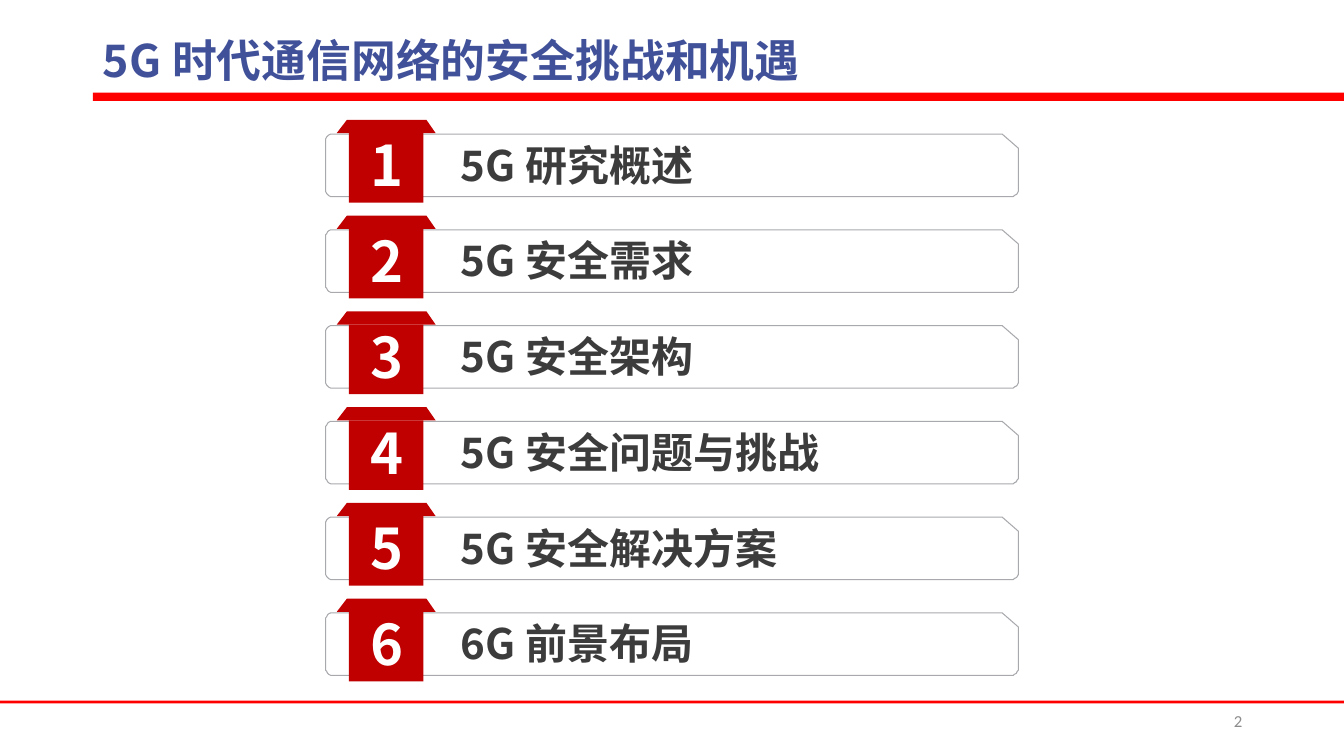
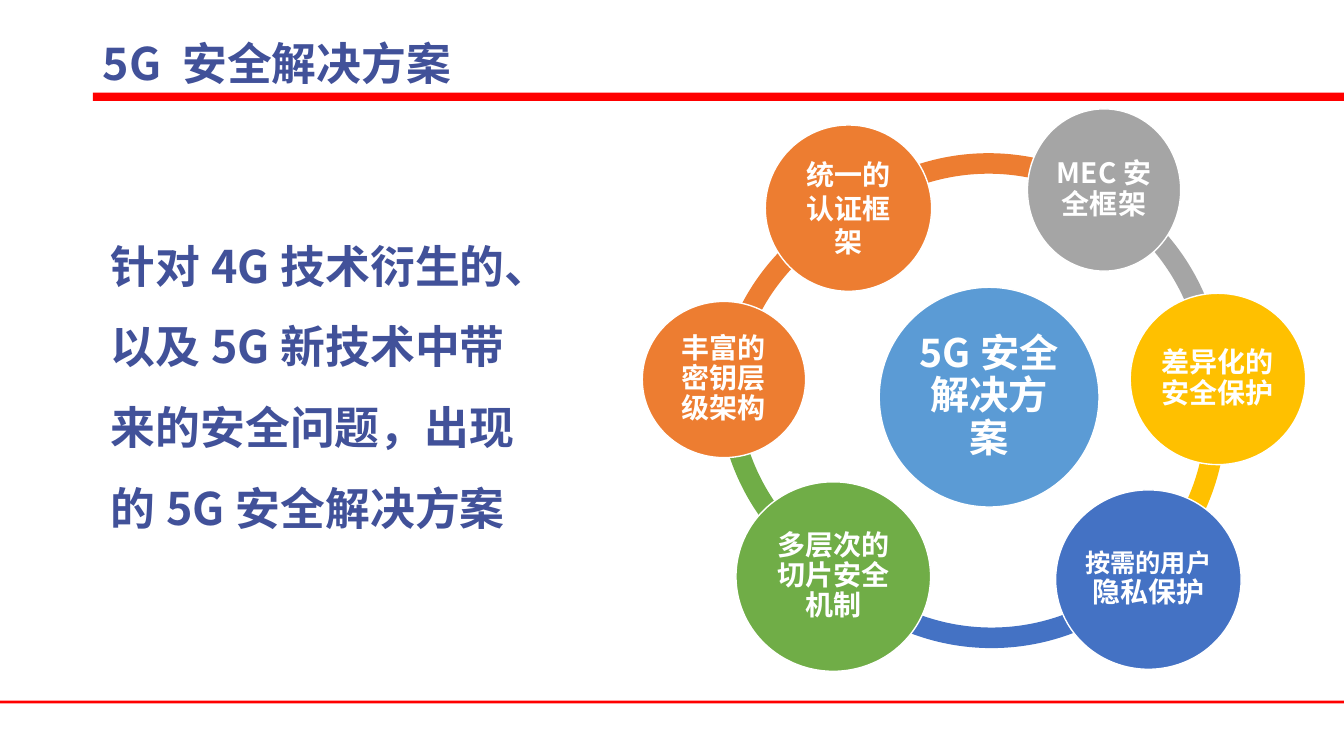
from dataclasses import dataclass
from math import cos, radians, sin
from typing import Optional

from lxml.etree import SubElement
from pptx import Presentation
from pptx.dml.color import RGBColor
from pptx.enum.shapes import MSO_SHAPE as Preset
from pptx.enum.text import MSO_ANCHOR as Anchor, MSO_AUTO_SIZE as AutoSize, PP_ALIGN as Align
from pptx.oxml.ns import qn
from pptx.util import Pt

PX = 9144  # EMU in one px, 100 px to the inch
PAGE_WIDTH, PAGE_HEIGHT = 1333, 750

WHITE = RGBColor(0xFF, 0xFF, 0xFF)
RED = RGBColor(0xFF, 0x00, 0x00)
DARK_RED = RGBColor(0xC0, 0x00, 0x00)
INDIGO = RGBColor(0x41, 0x51, 0x99)
CHARCOAL = RGBColor(0x3C, 0x3C, 0x3C)
OUTLINE_GRAY = RGBColor(0xA8, 0xA9, 0xAD)
NUMBER_GRAY = RGBColor(0x8C, 0x8C, 0x8C)
ORANGE = RGBColor(0xED, 0x7D, 0x31)
GRAY = RGBColor(0xA5, 0xA5, 0xA5)
GOLD = RGBColor(0xFF, 0xC0, 0x00)
BLUE = RGBColor(0x44, 0x72, 0xC4)
GREEN = RGBColor(0x70, 0xAD, 0x47)
SKY = RGBColor(0x5B, 0x9B, 0xD5)

CJK_FONT = "Noto Sans CJK SC"
AGENDA = ["5G研究概述", "5G安全需求", "5G安全架构", "5G安全问题与挑战", "5G安全解决方案", "6G前景布局"]
AGENDA_TOP, AGENDA_PITCH = 133, 95
RING_SIZE = 453
RING_THICKNESS = 0.045


@dataclass(frozen=True)
class Box:
    left: int
    top: int
    width: int
    height: int

    def emu(self) -> list[int]:
        return [side * PX for side in (self.left, self.top, self.width, self.height)]


@dataclass(frozen=True)
class TextStyle:
    size: int
    color: RGBColor
    bold: bool = True
    font: str = CJK_FONT
    align: Align = Align.LEFT
    spacing: float = 1.0


@dataclass(frozen=True)
class Span:
    text: str
    size: Optional[int] = None


@dataclass(frozen=True)
class Arc:
    left: int
    top: int
    start: float
    end: float
    color: RGBColor


@dataclass(frozen=True)
class Circle:
    box: Box
    color: RGBColor
    spans: tuple[Span, ...]
    size: int = 20
    spacing: float = 0.9
    inset: int = 3


ARCS = [
    Arc(710, 180, 187.8, 244.4, ORANGE),
    Arc(712, 155, 120.7, 181.5, GREEN),
    Arc(757, 190, 45.5, 135.5, BLUE),
    Arc(763, 185, 350.7, 47.4, GOLD),
    Arc(760, 155, 299.3, 358.5, GRAY),
    Arc(754, 152, 231, 301, ORANGE),
]
CIRCLES = [
    Circle(Box(872, 285, 218, 218), SKY, (Span("5G安全解决方案"),), size=28, inset=4),
    Circle(Box(759, 124, 165, 165), ORANGE, (Span("统一的认证框架"),), spacing=1.0),
    Circle(Box(1019, 108, 152, 161), GRAY, (Span("MEC安全框架"),)),
    Circle(Box(1121, 291, 174, 170), GOLD, (Span("差异化的安全保护"),)),
    Circle(Box(1047, 486, 184, 178), BLUE, (Span("按需的用户", 18), Span("隐私保护", 20)), inset=2),
    Circle(Box(730, 478, 193, 188), GREEN, (Span("多层次的切片安全机制"),)),
    Circle(Box(637, 299, 162, 155), ORANGE, (Span("丰富的密钥层级架构"),)),
]


def paint(shape, fill: RGBColor, line: Optional[RGBColor] = None, line_width: int = 0) -> None:
    shape.shadow.inherit = False
    shape.fill.solid()
    shape.fill.fore_color.rgb = fill
    if line is None:
        shape.line.fill.background()
    else:
        shape.line.color.rgb = line
        shape.line.width = Pt(line_width)


def write(frame, spans: tuple[Span, ...], style: TextStyle) -> None:
    frame.word_wrap = True
    para = frame.paragraphs[0]
    para.alignment = style.align
    para.line_spacing = style.spacing
    for span in spans:
        run = para.add_run()
        run.text = span.text
        if span.size:
            run.font.size = Pt(span.size)
    font = para.font
    font.size = Pt(style.size)
    font.bold = style.bold
    font.color.rgb = style.color
    font.name = style.font
    defaults = para._p.pPr.find(qn("a:defRPr"))
    SubElement(defaults, qn("a:ea"), typeface=style.font)


def add_label(shapes, box: Box, text: str, style: TextStyle,
              anchor: Anchor = Anchor.TOP, grow: bool = False) -> None:
    frame = shapes.add_textbox(*box.emu()).text_frame
    write(frame, (Span(text),), style)
    frame.vertical_anchor = anchor
    if grow:
        frame.auto_size = AutoSize.SHAPE_TO_FIT_TEXT


def add_bar(shapes, box: Box, color: RGBColor) -> None:
    paint(shapes.add_shape(Preset.RECTANGLE, *box.emu()), color)


def add_outline(shapes, points: list[tuple[float, float]], fill: RGBColor,
                line: Optional[RGBColor] = None) -> None:
    builder = shapes.build_freeform(*points[0], scale=PX)
    builder.add_line_segments(points[1:], close=True)
    paint(builder.convert_to_shape(), fill, line)


def corner(x: int, y: int, radius: int, start: int) -> list[tuple[float, float]]:
    """Points of a clockwise quarter turn around (x, y) from the start angle."""
    angles = [radians(start + step) for step in range(0, 91, 15)]
    return [(round(x + radius * cos(angle), 2), round(y + radius * sin(angle), 2))
            for angle in angles]


def add_page(deck, title: str, title_spacing: float):
    page = deck.slides.add_slide(deck.slide_layouts[6])
    add_bar(page.shapes, Box(0, 695, PAGE_WIDTH, 3), RED)
    add_bar(page.shapes, Box(92, 92, PAGE_WIDTH - 92, 8), RED)
    add_label(page.shapes, Box(92, 33, 1150, 58), title,
              TextStyle(32, INDIGO, spacing=title_spacing), Anchor.MIDDLE)
    return page


def add_agenda_row(page, number: int, text: str) -> None:
    shapes = page.shapes.add_group_shape().shapes
    top = AGENDA_TOP + (number - 1) * AGENDA_PITCH
    left, right, bottom, radius = 323, 1010, top + 62, 7
    frame = [
        *corner(left + radius, top + radius, radius, 180),
        (right - 16, top), (right, top + 14),
        *corner(right - radius, bottom - radius, radius, 0),
        *corner(left + radius, bottom - radius, radius, 90),
    ]
    add_outline(shapes, frame, WHITE, OUTLINE_GRAY)
    add_label(shapes, Box(447, top, 485, 61), text, TextStyle(30, CHARCOAL), grow=True)
    flap = [(344, top - 14), (423, top - 14), (432, top - 1), (334, top - 1)]
    add_outline(shapes, flap, DARK_RED)
    add_bar(shapes, Box(346, top - 1, 74, 69), DARK_RED)
    add_label(shapes, Box(358, top - 8, 51, 83), str(number),
              TextStyle(40, WHITE, align=Align.CENTER), grow=True)


def add_arc(shapes, arc: Arc) -> None:
    box = Box(arc.left, arc.top, RING_SIZE, RING_SIZE)
    shape = shapes.add_shape(Preset.BLOCK_ARC, *box.emu())
    # An angle is stored in 60000ths of a degree, an adjustment in 100000ths.
    shape.adjustments[0] = arc.start * 0.6
    shape.adjustments[1] = arc.end * 0.6
    shape.adjustments[2] = RING_THICKNESS
    paint(shape, arc.color)


def add_circle(shapes, circle: Circle) -> None:
    shape = shapes.add_shape(Preset.OVAL, *circle.box.emu())
    paint(shape, circle.color, WHITE, 1)
    frame = shape.text_frame
    frame.margin_left = frame.margin_right = circle.inset * PX
    frame.margin_top = frame.margin_bottom = circle.inset * PX
    frame.vertical_anchor = Anchor.MIDDLE
    write(frame, circle.spans,
          TextStyle(circle.size, WHITE, align=Align.CENTER, spacing=circle.spacing))


def build_agenda(deck) -> None:
    page = add_page(deck, "5G时代通信网络的安全挑战和机遇", 0.9)
    add_label(page.shapes, Box(942, 695, 300, 40), "2",
              TextStyle(12, NUMBER_GRAY, False, "Calibri", Align.RIGHT), Anchor.MIDDLE)
    for number, text in enumerate(AGENDA, start=1):
        add_agenda_row(page, number, text)


def build_solutions(deck) -> None:
    page = add_page(deck, "5G 安全解决方案", 1.0)
    ring = page.shapes.add_group_shape().shapes
    for arc in ARCS:
        add_arc(ring, arc)
    for circle in CIRCLES:
        add_circle(ring, circle)
    add_label(page.shapes, Box(100, 205, 441, 324),
              "针对4G技术衍生的、以及5G新技术中带来的安全问题，出现的5G安全解决方案",
              TextStyle(32, INDIGO, spacing=1.5), grow=True)


def main() -> None:
    deck = Presentation()
    deck.slide_width, deck.slide_height = PAGE_WIDTH * PX, PAGE_HEIGHT * PX
    build_agenda(deck)
    build_solutions(deck)
    deck.save("out.pptx")


if __name__ == "__main__":
    main()
